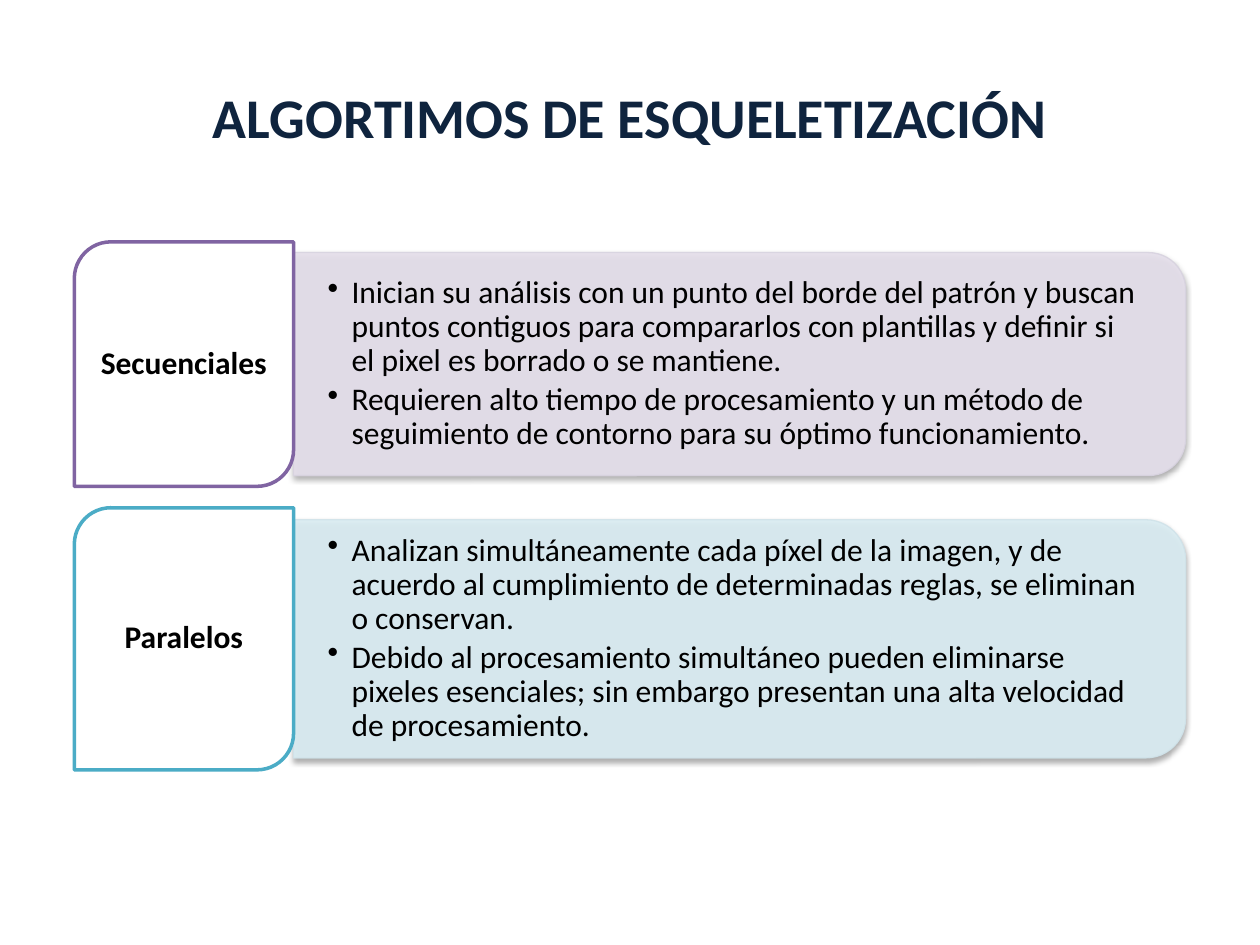
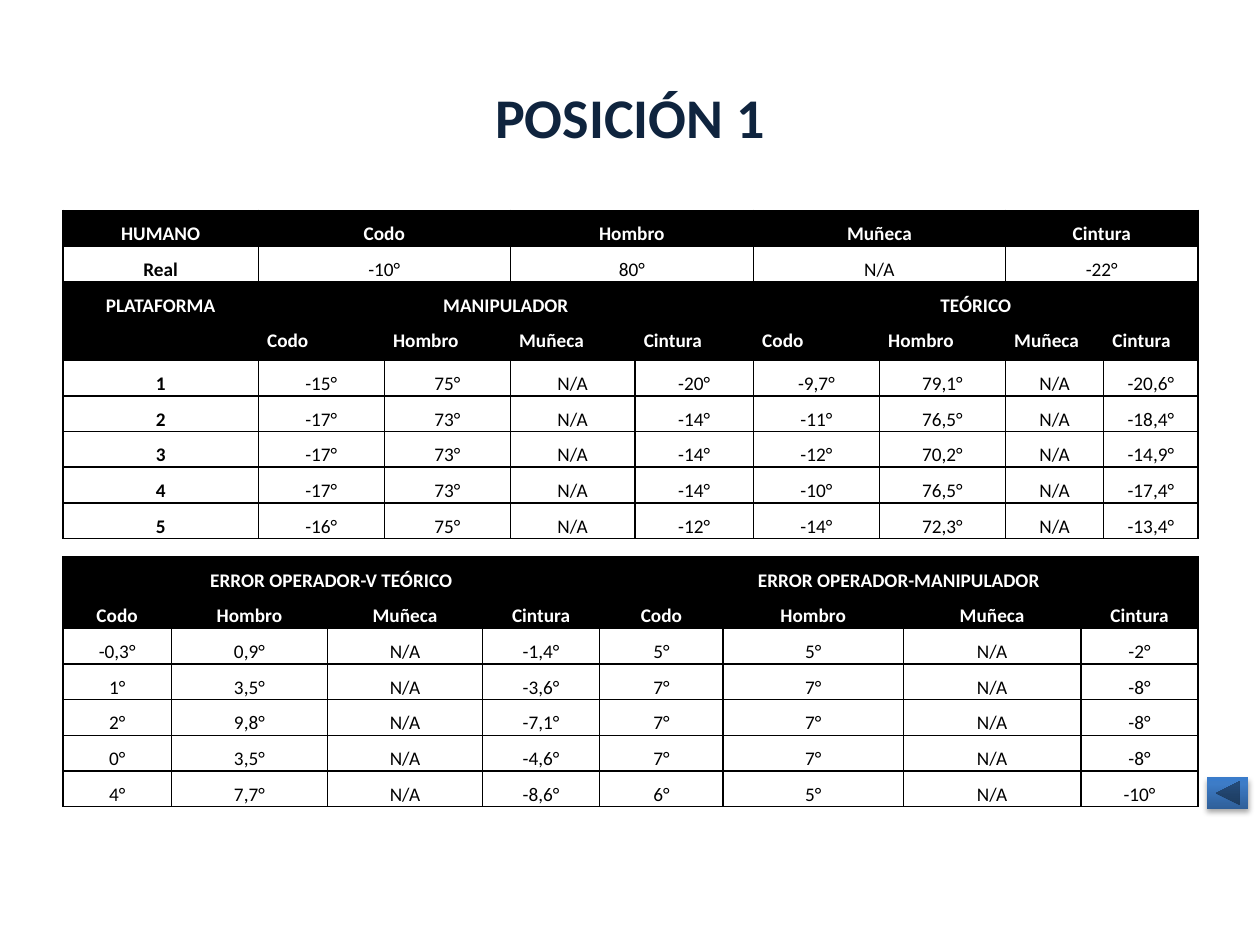
from copy import deepcopy

from lxml import etree
from pptx import Presentation
from pptx import util as u
from pptx.dml.color import RGBColor
from pptx.enum import shapes, text
from pptx.oxml.ns import qn

FONT = "Calibri"
COLORS = {
    "title": "0F243E", "ink": "000000", "paper": "FFFFFF",
    "purple": "8064A2", "purple tint": "E6E0EC", "purple edge": "D8D3E0",
    "teal": "4BACC6", "teal tint": "DBEEF4", "teal edge": "D0E3EA",
    "button dark": "2F5F99", "button mid": "3D7CC7", "button light": "3A7CCB",
}

# Content: kinds of algorithm (label, colour, middle, tab height, panel height, points)
ALGORITHMS = [
    ("Secuenciales", "purple", 2.89, 1.94, 1.77, [
        "Inician su análisis con un punto del borde del patrón y buscan puntos contiguos "
        "para compararlos con plantillas y definir si el pixel es borrado o se mantiene.",
        "Requieren alto tiempo de procesamiento y un método de seguimiento de contorno "
        "para su óptimo funcionamiento."]),
    ("Paralelos", "teal", 5.07, 2.08, 1.89, [
        "Analizan simultáneamente cada píxel de la imagen, y de acuerdo al cumplimiento "
        "de determinadas reglas, se eliminan o conservan.",
        "Debido al procesamiento simultáneo pueden eliminarse pixeles esenciales; sin "
        "embargo presentan una alta velocidad de procesamiento."]),
]
TAB_LEFT, TAB_WIDTH = 0.59, 1.74
PANEL_LEFT, PANEL_WIDTH = 2.33, 7.08

# Content: tables; a merged cell is (text, columns, rows), and None is covered by one
JOINTS = ["Codo", "Hombro", "Muñeca", "Cintura"]
ANGLES = {
    "top": 1.67,
    "columns": [1.55, 1, 1, 0.99, 0.94, 1, 1, 0.78, 0.75],
    "heights": [0.28] * 3 + [0.34] + [0.28] * 5,
    "header rows": {0, 2, 3}, "left rows": {3}, "bold columns": {0},
    "rows": [
        ["HUMANO"] + [(joint, 2, 1) for joint in JOINTS],
        ["Real", ("-10°", 2, 1), ("80°", 2, 1), ("N/A", 2, 1), ("-22°", 2, 1)],
        [("PLATAFORMA", 1, 2), ("MANIPULADOR", 4, 1), ("TEÓRICO", 4, 1)],
        [None] + JOINTS * 2,
        ["1", "-15°", "75°", "N/A", "-20°", "-9,7°", "79,1°", "N/A", "-20,6°"],
        ["2", "-17°", "73°", "N/A", "-14°", "-11°", "76,5°", "N/A", "-18,4°"],
        ["3", "-17°", "73°", "N/A", "-14°", "-12°", "70,2°", "N/A", "-14,9°"],
        ["4", "-17°", "73°", "N/A", "-14°", "-10°", "76,5°", "N/A", "-17,4°"],
        ["5", "-16°", "75°", "N/A", "-12°", "-14°", "72,3°", "N/A", "-13,4°"],
    ],
}
ERRORS = {
    "top": 4.42,
    "columns": [0.86, 1.24, 1.23, 0.93, 0.98, 1.43, 1.41, 0.93],
    "heights": [0.28] * 7,
    "header rows": {0, 1}, "left rows": set(), "bold columns": set(),
    "rows": [
        [("ERROR OPERADOR-V TEÓRICO", 4, 1), ("ERROR OPERADOR-MANIPULADOR", 4, 1)],
        JOINTS * 2,
        ["-0,3°", "0,9°", "N/A", "-1,4°", "5°", "5°", "N/A", "-2°"],
        ["1°", "3,5°", "N/A", "-3,6°", "7°", "7°", "N/A", "-8°"],
        ["2°", "9,8°", "N/A", "-7,1°", "7°", "7°", "N/A", "-8°"],
        ["0°", "3,5°", "N/A", "-4,6°", "7°", "7°", "N/A", "-8°"],
        ["4°", "7,7°", "N/A", "-8,6°", "6°", "5°", "N/A", "-10°"],
    ],
}


def rgb(name):
    return RGBColor.from_string(COLORS[name])


def child(parent, tag, **attributes):
    return etree.SubElement(parent, qn(tag), attributes)


def inches(*lengths):
    return [u.Inches(length) for length in lengths]


def add_span(para, words, size, color="ink", bold=False):
    span = para.add_run()
    span.text = words
    span.font.name, span.font.size, span.font.bold = FONT, u.Pt(size), bold
    span.font.color.rgb = rgb(color)


def set_frame(frame, side, end):
    frame.word_wrap = True
    frame.vertical_anchor = text.MSO_ANCHOR.MIDDLE
    frame.margin_left = frame.margin_right = u.Inches(side)
    frame.margin_top = frame.margin_bottom = u.Inches(end)


def add_titled_page(deck, words):
    page = deck.slides.add_slide(deck.slide_layouts[5])
    title = page.shapes.title
    title.left, title.top, title.width, title.height = inches(0.5, 0.3, 9, 1.25)
    title.text_frame.vertical_anchor = text.MSO_ANCHOR.MIDDLE
    para = title.text_frame.paragraphs[0]
    para.alignment = text.PP_ALIGN.CENTER
    add_span(para, words, 32, "title", True)
    return page


def add_box(page, preset, left, top, width, height):
    box = page.shapes.add_shape(preset, *inches(left, top, width, height))
    box.shadow.inherit = False
    return box


def paint(box, fill, line, weight):
    box.fill.solid()
    box.fill.fore_color.rgb = rgb(fill)
    box.line.color.rgb = rgb(line)
    box.line.width = u.Pt(weight)


def add_soft_shadow(box):
    effects = box._element.spPr.find(qn("a:effectLst"))
    shadow = child(effects, "a:outerShdw", blurRad="40000", dist="23000",
                   dir="5400000", rotWithShape="0")
    child(child(shadow, "a:srgbClr", val=COLORS["ink"]), "a:alpha", val="35000")


def add_algorithm(page, label, color, middle, tab_height, panel_height, points):
    # Panel: an upright shape turned a quarter about its centre
    center = PANEL_LEFT + PANEL_WIDTH / 2
    panel = add_box(page, shapes.MSO_SHAPE.ROUND_2_SAME_RECTANGLE,
                    center - panel_height / 2, middle - PANEL_WIDTH / 2,
                    panel_height, PANEL_WIDTH)
    panel.rotation = 90
    paint(panel, color + " tint", color + " edge", 0.75)
    for tone in panel._element.spPr.iter(qn("a:srgbClr")):
        child(tone, "a:alpha", val="90000")
    add_soft_shadow(panel)

    # Bulleted points over the panel
    height = panel_height - 0.18
    box = page.shapes.add_textbox(*inches(PANEL_LEFT, middle - height / 2, 6.99, height))
    frame = box.text_frame
    set_frame(frame, 0.27, 0.14)
    for index, point in enumerate(points):
        para = frame.add_paragraph() if index else frame.paragraphs[0]
        para.level = 1
        properties = para._p.get_or_add_pPr()
        properties.set("marL", str(u.Inches(0.19)))
        properties.set("indent", str(-u.Inches(0.19)))
        child(properties, "a:buChar", char="•")
        para.line_spacing, para.space_after = 0.9, u.Pt(2.7)
        add_span(para, point, 18)

    # Tab with the label
    tab = add_box(page, shapes.MSO_SHAPE.ROUND_2_DIAG_RECTANGLE,
                  TAB_LEFT, middle - tab_height / 2, TAB_WIDTH, tab_height)
    paint(tab, "paper", color, 2)
    set_frame(tab.text_frame, 0.07, 0.04)
    para = tab.text_frame.paragraphs[0]
    para.alignment = text.PP_ALIGN.CENTER
    para.line_spacing = 0.9
    add_span(para, label, 18, "ink", True)


def style_cell(cell, is_header):
    if is_header:
        cell.fill.solid()
        cell.fill.fore_color.rgb = rgb("ink")
    else:
        cell.fill.background()
    cell.margin_left = cell.margin_right = u.Inches(0.07)
    cell.margin_top = cell.margin_bottom = 0
    properties = cell._tc.get_or_add_tcPr()
    for index, side in enumerate(("a:lnL", "a:lnR", "a:lnT", "a:lnB")):
        border = child(properties, side, w=str(u.Pt(1)))
        child(child(border, "a:solidFill"), "a:srgbClr", val=COLORS["ink"])
        properties.insert(index, border)


def add_grid(page, data):
    widths, heights = data["columns"], data["heights"]
    frame = page.shapes.add_table(len(heights), len(widths),
                                  *inches(0.5, data["top"], 9, sum(heights)))
    table = frame.table
    table.first_row = table.horz_banding = False
    for column, width in zip(table.columns, widths):
        column.width = u.Inches(width)
    for row, height in zip(table.rows, heights):
        row.height = u.Inches(height)

    for row, entries in enumerate(data["rows"]):
        is_header = row in data["header rows"]
        for column in range(len(widths)):
            style_cell(table.cell(row, column), is_header)
        column = 0
        for entry in entries:
            words, across, down = entry if isinstance(entry, tuple) else (entry, 1, 1)
            cell = table.cell(row, column)
            if across * down > 1:
                cell.merge(table.cell(row + down - 1, column + across - 1))
            if words:
                para = cell.text_frame.paragraphs[0]
                para.line_spacing = 1.5
                is_left = row in data["left rows"]
                para.alignment = text.PP_ALIGN.LEFT if is_left else text.PP_ALIGN.CENTER
                add_span(para, words, 11, "paper" if is_header else "ink",
                         is_header or column in data["bold columns"])
            column += across


def add_back_button(page):
    button = add_box(page, shapes.MSO_SHAPE.ACTION_BUTTON_BACK_OR_PREVIOUS,
                     9.58, 6.17, 0.33, 0.25)
    button.fill.gradient()
    button.fill.gradient_angle = 90
    stops = button._element.spPr.find(".//" + qn("a:gsLst"))
    stops.insert(1, deepcopy(stops[0]))
    tones = [(0, "button dark"), (0.8, "button mid"), (1, "button light")]
    for stop, (position, tone) in zip(button.fill.gradient_stops, tones):
        stop.position = position
        stop.color.rgb = rgb(tone)
    button.line.fill.background()
    add_soft_shadow(button)


def main():
    deck = Presentation()
    deck.slide_width, deck.slide_height = inches(10, 7.5)

    page = add_titled_page(deck, "ALGORTIMOS DE ESQUELETIZACIÓN")
    for algorithm in ALGORITHMS:
        add_algorithm(page, *algorithm)

    page = add_titled_page(deck, "POSICIÓN 1")
    for data in (ANGLES, ERRORS):
        add_grid(page, data)
    add_back_button(page)

    deck.save("out.pptx")


if __name__ == "__main__":
    main()
